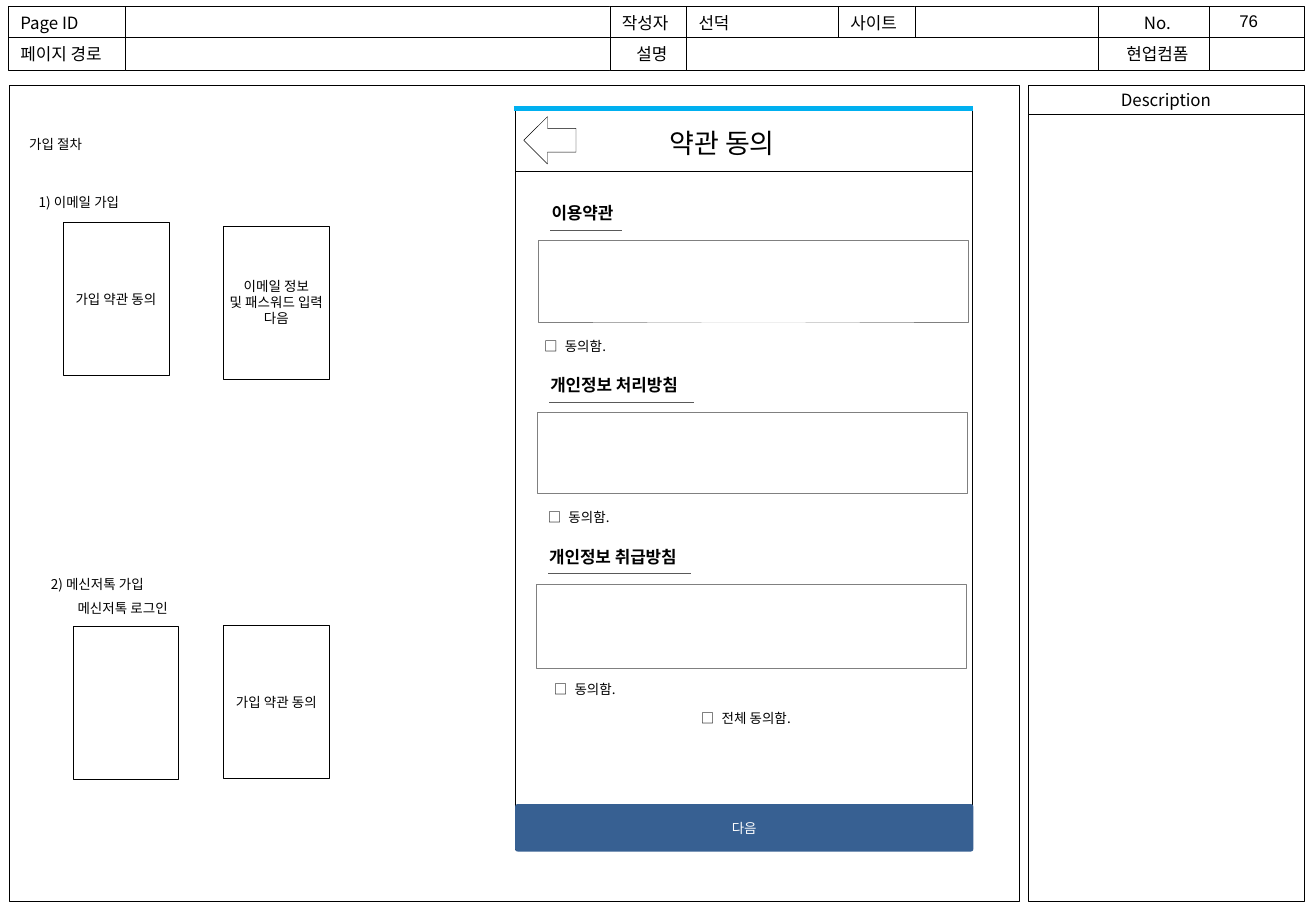
import pptx
import pptx.dml.color
import pptx.enum.shapes
import pptx.enum.text
import pptx.util
from lxml import etree
from pptx.oxml.ns import qn
from pptx.util import Inches

RGBColor = pptx.dml.color.RGBColor
SHAPE = pptx.enum.shapes.MSO_SHAPE
ALIGN = pptx.enum.text.PP_ALIGN
ANCHOR = pptx.enum.text.MSO_ANCHOR
AUTO_SIZE = pptx.enum.text.MSO_AUTO_SIZE

BLACK = RGBColor(0x00, 0x00, 0x00)
WHITE = RGBColor(0xFF, 0xFF, 0xFF)
GRAY = RGBColor(0x80, 0x80, 0x80)
DARK_GRAY = RGBColor(0x59, 0x59, 0x59)
SKY = RGBColor(0x00, 0xB0, 0xF0)
NAVY = RGBColor(0x37, 0x60, 0x92)
FONT = "Noto Sans CJK KR"


def write(frame, text, size=8, color=BLACK, bold=False, align=ALIGN.LEFT,
          font=FONT, anchor=ANCHOR.TOP, inset=0.1, right=None, tab=None):
    """Fill a text frame, one paragraph for each line of text."""
    frame.vertical_anchor = anchor
    frame.margin_left = Inches(inset)
    frame.margin_right = Inches(inset if right is None else right)
    frame.margin_top = frame.margin_bottom = Inches(0.05)
    for index, line in enumerate(text.split("\n")):
        para = frame.add_paragraph() if index else frame.paragraphs[0]
        para.alignment = align
        if tab:
            stops = etree.SubElement(para._p.get_or_add_pPr(), qn("a:tabLst"))
            etree.SubElement(stops, qn("a:tab"), pos=str(Inches(tab)), algn="l")
        span = para.add_run()
        span.text = line
        span.font.size = pptx.util.Pt(size)
        span.font.bold = bold
        span.font.color.rgb = color
        span.font.name = font
        etree.SubElement(span.font._element, qn("a:ea"), typeface=font)


class Wireframe:
    def __init__(self, deck):
        self.page = deck.slides.add_slide(deck.slide_layouts[5])
        self.border = 0.25

    def shape(self, left, top, width, height, text="", kind=SHAPE.RECTANGLE,
              fill=WHITE, line=BLACK, **style):
        box = self.page.shapes.add_shape(
            kind, Inches(left), Inches(top), Inches(width), Inches(height))
        box.shadow.inherit = False
        if fill is None:
            box.fill.background()
        else:
            box.fill.solid()
            box.fill.fore_color.rgb = fill
        if line is None:
            box.line.fill.background()
        else:
            box.line.color.rgb = line
            box.line.width = pptx.util.Pt(self.border)
        if text:
            write(box.text_frame, text, anchor=ANCHOR.MIDDLE, **style)
        return box

    def label(self, left, top, width, height, text, wrap=False, **style):
        box = self.page.shapes.add_textbox(
            Inches(left), Inches(top), Inches(width), Inches(height))
        box.text_frame.word_wrap = wrap
        box.text_frame.auto_size = AUTO_SIZE.SHAPE_TO_FIT_TEXT
        write(box.text_frame, text, **style)

    def rule(self, left, top, width, color, weight):
        line = self.page.shapes.add_connector(
            pptx.enum.shapes.MSO_CONNECTOR.STRAIGHT,
            Inches(left), Inches(top), Inches(left + width), Inches(top))
        line.line.color.rgb = color
        line.line.width = pptx.util.Pt(weight)
        etree.SubElement(line._element.spPr, qn("a:effectLst"))

    def title(self, left, top, width, height, text):
        title = self.page.shapes.title
        title.left, title.top = Inches(left), Inches(top)
        title.width, title.height = Inches(width), Inches(height)
        title.text_frame.word_wrap = True
        title.text_frame.auto_size = AUTO_SIZE.NONE
        write(title.text_frame, text)
        # Bring the title in front of the panels
        title.element.getparent().append(title.element)

    def consent(self, left, top, width, text):
        self.label(left, top, width, 0.24, "□\t" + text, tab=0.17)


def build_header(wireframe):
    left, center = ALIGN.LEFT, ALIGN.CENTER
    rows = [
        (0.05, [(0.07, 0.96, "Page ID", left), (1.03, 3.99, "", left),
                (5.02, 0.63, "작성자", left), (5.65, 1.25, "선덕", left),
                (6.9, 0.63, "사이트", left), (7.53, 1.51, "", left),
                (9.04, 0.91, "No.", center), (9.95, 0.78, "", left)]),
        (0.31, [(0.07, 0.96, "페이지 경로", left), (1.03, 3.99, "", left),
                (5.02, 0.63, "설명", center), (5.65, 3.39, "", left),
                (9.04, 0.91, "현업컴폼", center), (9.95, 0.78, "", left)]),
    ]
    for top, cells in rows:
        for x, width, text, align in cells:
            wireframe.shape(x, top, width, 0.27, text, size=10, align=align, right=0.04)
    wireframe.label(10.1, 0.04, 0.38, 0.27, "76", size=10, font="Arial")


def build_panels(wireframe):
    wireframe.shape(8.46, 0.94, 2.27, 6.48)
    wireframe.shape(8.46, 0.7, 2.27, 0.24, "Description", size=10, align=ALIGN.CENTER)
    wireframe.shape(0.08, 0.7, 8.31, 6.72)


def build_flow(wireframe):
    wireframe.title(0.14, 1.07, 2.36, 0.24, "가입 절차")
    for left, top, width, text in [
        (0.22, 1.55, 0.98, "1) 이메일 가입"),
        (0.32, 4.69, 1.09, "2) 메신저톡 가입"),
        (0.54, 4.89, 1.07, "메신저톡 로그인"),
    ]:
        wireframe.label(left, top, width, 0.24, text)
    for left, top, text in [
        (0.52, 1.83, "가입 약관 동의"),
        (1.84, 1.86, "이메일 정보\n및 패스워드 입력\n다음"),
        (0.6, 5.16, ""),
        (1.84, 5.15, "가입 약관 동의"),
    ]:
        wireframe.shape(left, top, 0.87, 1.26, text, align=ALIGN.CENTER, inset=0.04)


def build_screen(wireframe):
    # Frame and title bar
    wireframe.shape(4.24, 0.88, 3.76, 6.11, fill=None)
    wireframe.shape(4.24, 0.88, 3.76, 0.53, fill=None)
    wireframe.rule(4.23, 0.89, 3.78, SKY, 3)
    wireframe.label(5.18, 0.99, 1.94, 0.37, "약관 동의", wrap=True,
                    size=16, inset=0.33, right=0.1)
    back = wireframe.shape(4.33, 0.94, 0.39, 0.43, kind=SHAPE.DOWN_ARROW)
    back.rotation = 90

    # Next button
    button = wireframe.shape(4.24, 6.62, 3.77, 0.39, "다음", SHAPE.ROUNDED_RECTANGLE,
                             fill=NAVY, line=None, color=WHITE,
                             align=ALIGN.CENTER, inset=0.04)
    button.adjustments[0] = 0.05

    # Terms sections, evenly spaced
    sections = [
        ("이용약관", 0.59, 0.67, 4.38),
        ("개인정보 처리방침", 1.19, 0.67, 4.41),
        ("개인정보 취급방침", 1.18, 0.69, 4.46),
    ]
    for index, (heading, underline, height, consent_left) in enumerate(sections):
        left = 4.43 - 0.01 * index
        top = 1.62 + 1.415 * index
        wireframe.label(left + 0.01, top, 1.62, 0.27, heading, wrap=True,
                        size=10, bold=True)
        wireframe.rule(left + 0.1, top + 0.275, underline, DARK_GRAY, 0.5)
        wireframe.shape(left, top + 0.36, 3.54, height, fill=None, line=GRAY)
        wireframe.consent(consent_left, top + 1.11, 0.76, "동의함.")
    wireframe.consent(5.67, 5.8, 1.02, "전체 동의함.")


def main():
    deck = pptx.Presentation()
    deck.slide_width, deck.slide_height = Inches(10.83), Inches(7.5)
    wireframe = Wireframe(deck)
    build_header(wireframe)
    build_panels(wireframe)
    build_flow(wireframe)
    build_screen(wireframe)
    deck.save("out.pptx")


if __name__ == "__main__":
    main()
